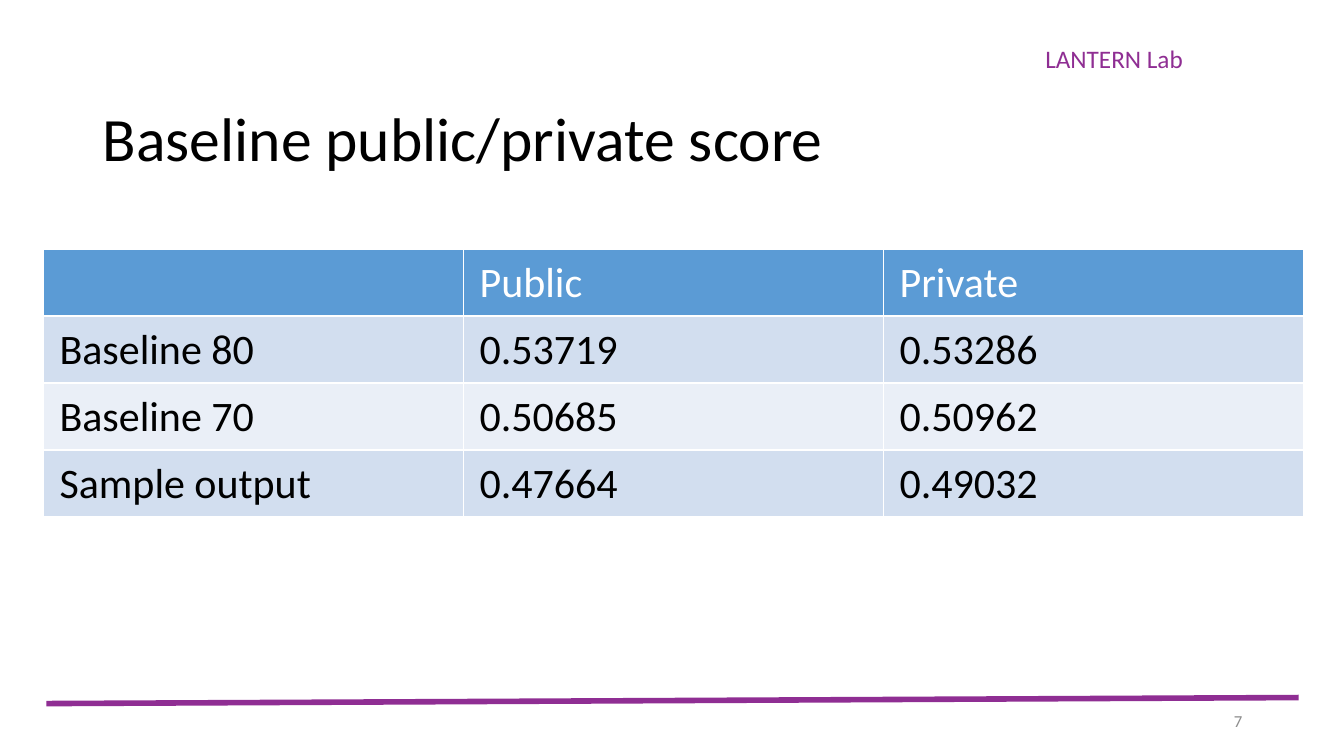
from lxml import etree
from pptx import Presentation
from pptx.dml.color import RGBColor
from pptx.enum.shapes import MSO_CONNECTOR
from pptx.enum.text import MSO_ANCHOR, PP_ALIGN
from pptx.oxml.ns import qn
from pptx.util import Inches, Pt

LEFT, RIGHT = PP_ALIGN.LEFT, PP_ALIGN.RIGHT
TOP, MIDDLE = MSO_ANCHOR.TOP, MSO_ANCHOR.MIDDLE
STRAIGHT = MSO_CONNECTOR.STRAIGHT

FONT = "Calibri"
BLACK = RGBColor(0x00, 0x00, 0x00)
WHITE = RGBColor(0xFF, 0xFF, 0xFF)
GREY = RGBColor(0x8C, 0x8C, 0x8C)
PURPLE = RGBColor(0x8F, 0x2E, 0x93)
HEADER_BLUE = RGBColor(0x5B, 0x9B, 0xD5)
BAND_DARK = RGBColor(0xD2, 0xDE, 0xEF)
BAND_LIGHT = RGBColor(0xEA, 0xEF, 0xF7)

SCORES = [
    ["", "Public", "Private"],
    ["Baseline 80", "0.53719", "0.53286"],
    ["Baseline 70", "0.50685", "0.50962"],
    ["Sample output", "0.47664", "0.49032"],
]


class ScorePage:
    def __init__(self, deck):
        self.width, self.height = deck.slide_width, deck.slide_height
        self.page = deck.slides.add_slide(deck.slide_layouts[5])

    def place(self, *percents):
        sides = (self.width, self.height) * 2
        return [round(side * share / 100) for side, share in zip(sides, percents)]

    def fill_text(self, frame, text, size, color, align=LEFT):
        para = frame.paragraphs[0]
        para.text = text
        para.alignment = align
        para.font.name, para.font.size = FONT, Pt(size)
        para.font.color.rgb = color
        return para

    def title(self, text, area):
        box = self.page.shapes.title
        box.left, box.top, box.width, box.height = self.place(*area)
        box.text_frame.vertical_anchor = MIDDLE
        self.fill_text(box.text_frame, text, 44, BLACK).line_spacing = 0.9

    def label(self, text, area, size, color, align=LEFT, anchor=TOP):
        frame = self.page.shapes.add_textbox(*self.place(*area)).text_frame
        frame.word_wrap = True
        frame.vertical_anchor = anchor
        self.fill_text(frame, text, size, color, align)

    def rule(self, ends, color, weight):
        line = self.page.shapes.add_connector(STRAIGHT, *self.place(*ends))
        line.line.color.rgb = color
        line.line.width = Pt(weight)
        etree.SubElement(line._element.spPr, qn("a:effectLst"))

    def border(self, cell, color, weight):
        properties = cell._tc.get_or_add_tcPr()
        for index, side in enumerate(("lnL", "lnR", "lnT", "lnB")):
            edge = etree.Element(qn(f"a:{side}"), w=str(Pt(weight)))
            fill = etree.SubElement(edge, qn("a:solidFill"))
            etree.SubElement(fill, qn("a:srgbClr"), val=str(color))
            properties.insert(index, edge)

    def table(self, rows, area):
        frame = self.page.shapes.add_table(len(rows), len(rows[0]), *self.place(*area))
        grid = frame.table
        grid.first_row = grid.horz_banding = False
        for row, texts in enumerate(rows):
            band = BAND_DARK if row % 2 else BAND_LIGHT
            fill, color = (band, BLACK) if row else (HEADER_BLUE, WHITE)
            for column, text in enumerate(texts):
                cell = grid.cell(row, column)
                cell.margin_left = cell.margin_right = Inches(0.16)
                cell.margin_top = cell.margin_bottom = Inches(0.08)
                cell.fill.solid()
                cell.fill.fore_color.rgb = fill
                self.border(cell, WHITE, 1)
                self.fill_text(cell.text_frame, text, 30, color)


deck = Presentation()
deck.slide_width, deck.slide_height = Inches(13.33), Inches(7.5)
page = ScorePage(deck)
page.label("LANTERN Lab", (77.04, 5.07, 22.96, 5.33), 18, PURPLE)
page.rule((3.45, 93.07, 96.62, 92.27), PURPLE, 4)
page.title("Baseline public/private score", (6.9, 9.07, 86.27, 19.33))
page.label("7", (70.67, 92.67, 22.5, 5.33), 12, GREY, RIGHT, MIDDLE)
page.table(SCORES, (3.23, 32.93, 93.77, 35.47))
deck.save("out.pptx")
